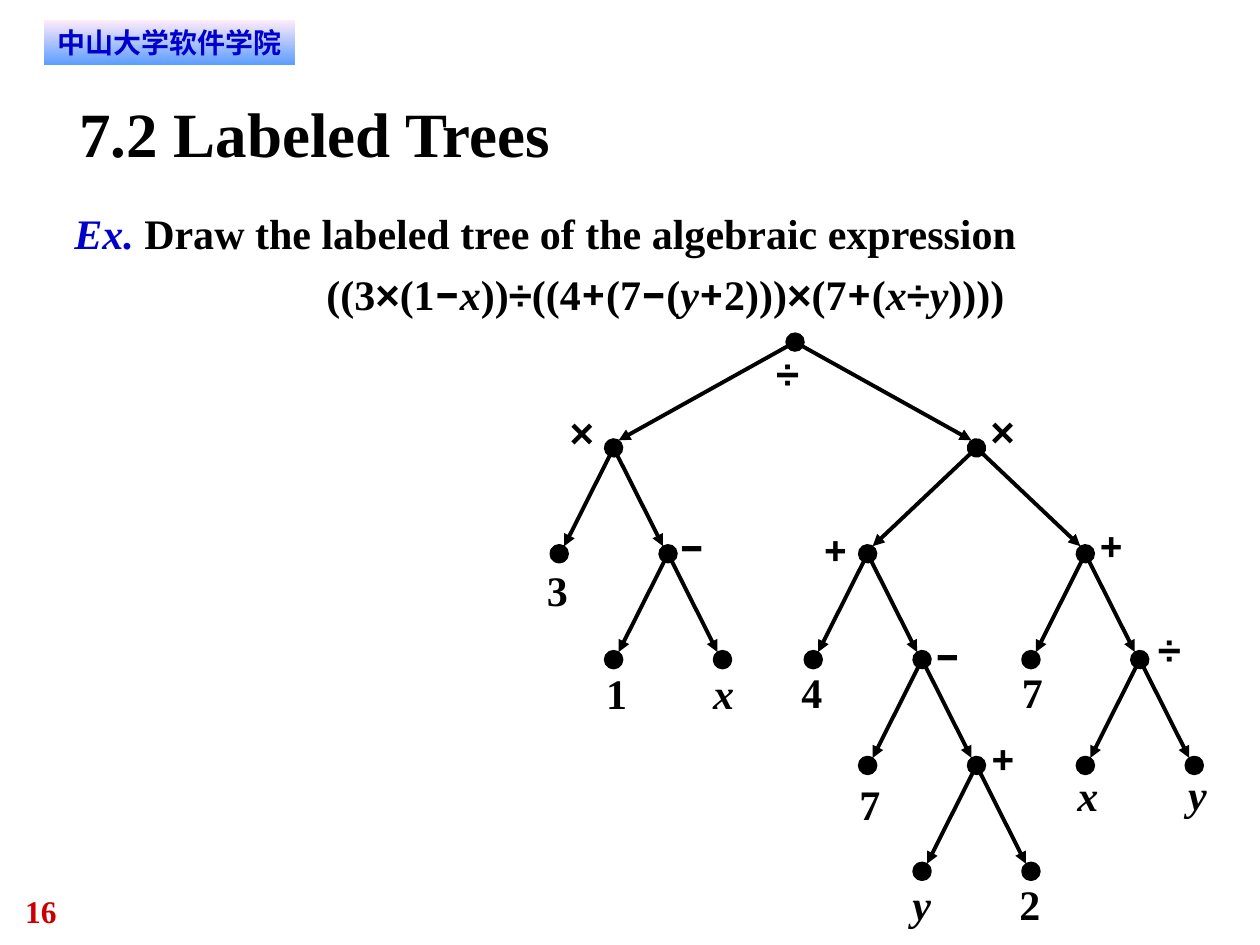
import itertools

import pptx
import pptx.dml.color
import pptx.enum.shapes
import pptx.enum.text
import pptx.oxml.ns
import pptx.util
from lxml import etree

THEME = {
    "ink": "000000", "accent": "0000CC", "number": "CC0000",
    "banner_top": "FFEBFA", "banner_bottom": "5E9EFF",
    "serif": "Times New Roman", "sign": "Noto Sans Mono", "times": "Arial",
    "banner": "DejaVu Sans",
    "title_pt": 36, "body_pt": 24, "number_pt": 18, "banner_pt": 16,
    "edge_pt": 2.25, "dot_pt": 2.5,
}
SIGN_FONTS = {"+": "sign", "−": "sign", "×": "times", "÷": "times"}
qn = pptx.oxml.ns.qn
rgb = pptx.dml.color.RGBColor.from_string

prs = pptx.Presentation()
prs.slide_width, prs.slide_height = pptx.util.Inches(10), pptx.util.Inches(7.5)
s = prs.slides.add_slide(prs.slide_layouts[6])
W, H = prs.slide_width / 100, prs.slide_height / 100  # one percent of the slide


def style(r, size="body_pt", color="ink", font="serif", italic=False):
    r.font.size = pptx.util.Pt(THEME[size])
    r.font.name = THEME[font]
    r.font.color.rgb = rgb(THEME[color])
    r.font.bold, r.font.italic = True, italic


def text_box(x, y, w, h, text):
    """Text box without insets, placed in percent of the slide."""
    tf = s.shapes.add_textbox(int(x * W), int(y * H), int(w * W), int(h * H)).text_frame
    tf.word_wrap = True
    tf.margin_left = tf.margin_top = tf.margin_right = tf.margin_bottom = 0
    tf.text = text
    return tf


# Page number, title and banner
style(text_box(2, 94.4, 7.5, 4, "16").paragraphs[0].runs[0], "number_pt", "number")
style(text_box(6.3, 10, 87.5, 8, "7.2 Labeled Trees").paragraphs[0].runs[0], "title_pt")

sp = s.shapes.add_shape(pptx.enum.shapes.MSO_SHAPE.RECTANGLE,
                        int(3.5 * W), int(2.13 * H), int(19.9 * W), int(4.67 * H))
sp.shadow.inherit = False
sp.line.fill.background()
sp.fill.gradient()
sp.fill.gradient_angle = 270
for stop, color in zip(sp.fill.gradient_stops, ("banner_top", "banner_bottom")):
    stop.color.rgb = rgb(THEME[color])
tf = sp.text_frame
tf.margin_left = tf.margin_right = pptx.util.Inches(0.08)
tf.margin_top = tf.margin_bottom = pptx.util.Inches(0.04)
tf.text = "中山大学软件学院"
tf.paragraphs[0].alignment = pptx.enum.text.PP_ALIGN.CENTER
style(tf.paragraphs[0].runs[0], "banner_pt", "accent", "banner")

# Exercise: the task, then the indented expression with one run per type style
tf = text_box(5.9, 20.93, 88.4, 12.8, "Ex.")
p = tf.paragraphs[0]
style(p.runs[0], color="accent", italic=True)
r = p.add_run()
r.text = " Draw the labeled tree of the algebraic expression"
style(r)
p = tf.add_paragraph()
p._p.get_or_add_pPr().set("marL", str(int(20 * W)))
expression = "((3×(1−x))÷((4+(7−(y+2)))×(7+(x÷y))))"
for (font, italic), chars in itertools.groupby(
        expression, lambda c: (SIGN_FONTS.get(c, "serif"), c in "xy")):
    r = p.add_run()
    r.text = "".join(chars)
    style(r, font=font, italic=italic)
for p in tf.paragraphs:
    p.line_spacing = 1.2

# Tree nodes: symbol, parent index, column from the root, level, label left and top (%)
NODES = [
    ("÷", None, 0, 0, 61.6, 36.8),
    ("×", 0, -10, 1, 45.2, 43.07),
    ("×", 0, 10, 1, 78.6, 42.93),
    ("3", 1, -13, 2, 43.4, 59.73),
    ("−", 1, -7, 2, 53.9, 55.2),
    ("+", 2, 4, 2, 65.3, 55.47),
    ("+", 2, 16, 2, 87.2, 55.07),
    ("1", 4, -10, 3, 48.1, 70.67),
    ("x", 4, -4, 3, 56.6, 70.67),
    ("4", 5, 1, 3, 63.6, 70.53),
    ("−", 5, 7, 3, 74.2, 66.67),
    ("7", 6, 13, 3, 81.1, 70.53),
    ("÷", 6, 19, 3, 91.9, 66),
    ("7", 10, 4, 4, 68.2, 82.4),
    ("+", 10, 10, 4, 78.6, 77.6),
    ("x", 12, 16, 4, 85.5, 81.47),
    ("y", 12, 22, 4, 94.3, 81.33),
    ("y", 14, 7, 5, 72.4, 92.93),
    ("2", 14, 13, 5, 80.9, 92.93),
]
COL, ROW = 1.44 * W, 11.2 * H
DOT = 1.2 * W
GAP_X, GAP_Y = 0.4 * W, 0.8 * H  # arrow tips stop short of the child's centre
centres = [(63.1 * W + col * COL, 36.2 * H + level * ROW)
           for _, _, col, level, _, _ in NODES]

# Labels, and dots on the leaves
for (symbol, _, _, _, left, top), (x, y) in zip(NODES, centres):
    r = text_box(left, top, 2.8, 5.33, symbol).paragraphs[0].runs[0]
    style(r, font=SIGN_FONTS.get(symbol, "serif"), italic=symbol in "xy")
    if symbol not in SIGN_FONTS:
        sp = s.shapes.add_shape(pptx.enum.shapes.MSO_SHAPE.OVAL,
                                int(x - DOT / 2), int(y - DOT / 2), int(DOT), int(DOT))
        sp.shadow.inherit = False
        sp.fill.solid()
        sp.fill.fore_color.rgb = sp.line.color.rgb = rgb(THEME["ink"])
        sp.line.width = pptx.util.Pt(THEME["dot_pt"])

# Edges: the left one of each pair carries the parent's dot as its round head
for (_, parent, _, _, _, _), (x, y) in zip(NODES, centres):
    if parent is None:
        continue
    px, py = centres[parent]
    is_left = x < px
    tip_x = x + GAP_X if is_left else x - GAP_X
    sp = s.shapes.add_connector(pptx.enum.shapes.MSO_CONNECTOR.STRAIGHT,
                                int(px), int(py), int(tip_x), int(y - GAP_Y))
    sp.line.color.rgb = rgb(THEME["ink"])
    sp.line.width = pptx.util.Pt(THEME["edge_pt"])
    ln = sp.line._get_or_add_ln()
    if is_left:
        etree.SubElement(ln, qn("a:headEnd"), type="oval", w="lg", len="lg")
    etree.SubElement(ln, qn("a:tailEnd"), type="triangle")
    etree.SubElement(sp._element.spPr, qn("a:effectLst"))

prs.save("out.pptx")
